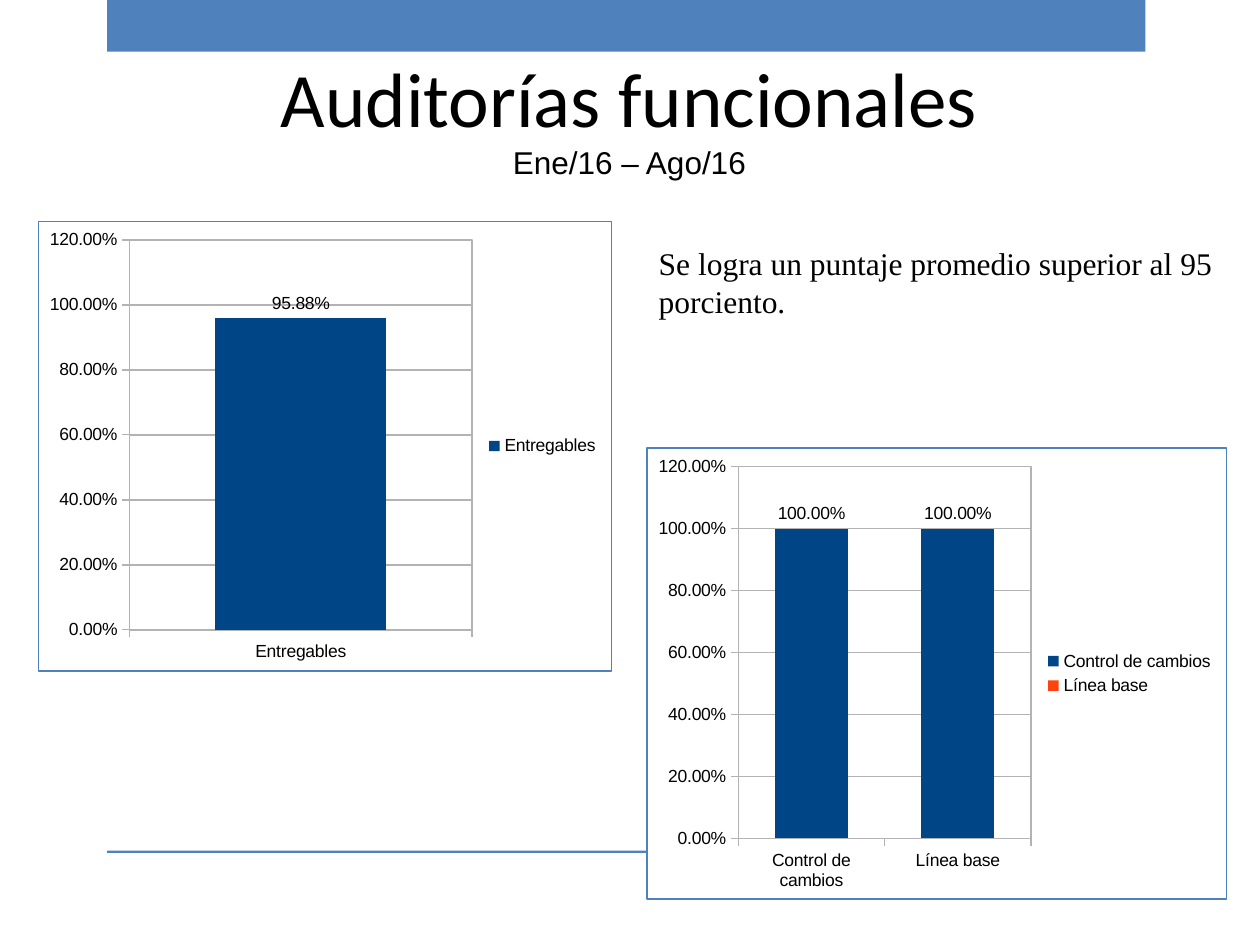
from dataclasses import dataclass

from lxml import etree
from pptx import Presentation
from pptx.chart.data import CategoryChartData
from pptx.dml.color import RGBColor
from pptx.enum.chart import XL_CHART_TYPE, XL_LABEL_POSITION, XL_LEGEND_POSITION, XL_TICK_MARK
from pptx.enum.shapes import MSO_SHAPE
from pptx.enum.text import MSO_ANCHOR, MSO_AUTO_SIZE, PP_ALIGN
from pptx.oxml import parse_xml
from pptx.util import Inches, Pt

COLUMN = XL_CHART_TYPE.COLUMN_CLUSTERED
OUTSIDE_END = XL_LABEL_POSITION.OUTSIDE_END
LEGEND_RIGHT = XL_LEGEND_POSITION.RIGHT
TICK_OUTSIDE = XL_TICK_MARK.OUTSIDE
RECTANGLE = MSO_SHAPE.RECTANGLE
TOP, MIDDLE = MSO_ANCHOR.TOP, MSO_ANCHOR.MIDDLE
LEFT, CENTER = PP_ALIGN.LEFT, PP_ALIGN.CENTER
GROW = MSO_AUTO_SIZE.SHAPE_TO_FIT_TEXT
FIXED = MSO_AUTO_SIZE.NONE

CHART_NS = "http://schemas.openxmlformats.org/drawingml/2006/chart"
DRAWING_NS = "http://schemas.openxmlformats.org/drawingml/2006/main"


@dataclass(frozen=True)
class Theme:
    accent: str = "4F81BD"
    bar: str = "004586"
    rule: str = "B3B3B3"
    ink: str = "000000"
    paper: str = "FFFFFF"
    title_font: str = "Calibri"
    label_font: str = "Arial"
    body_font: str = "Times New Roman"
    title_size: int = 44
    body_size: int = 18
    label_size: int = 10
    hairline: float = 0.75
    percent: str = "0.00%"


class SlideBuilder:
    COLUMNS, ROWS = 10, 7.5

    def __init__(self, presentation, theme):
        self.theme = theme
        presentation.slide_width = Inches(self.COLUMNS)
        presentation.slide_height = Inches(self.ROWS)
        self.unit = presentation.slide_width / self.COLUMNS
        self.slide = presentation.slides.add_slide(presentation.slide_layouts[6])

    def place(self, box):
        return [round(length * self.unit) for length in box]

    def bar(self, box):
        shape = self.slide.shapes.add_shape(RECTANGLE, *self.place(box))
        shape.shadow.inherit = False
        shape.fill.solid()
        shape.fill.fore_color.rgb = RGBColor.from_string(self.theme.accent)
        shape.line.fill.background()

    def text(self, box, lines, align=LEFT, anchor=TOP, auto_size=FIXED):
        frame = self.slide.shapes.add_textbox(*self.place(box)).text_frame
        frame.word_wrap = True
        frame.auto_size = auto_size
        frame.vertical_anchor = anchor
        for index, (words, font_name, size) in enumerate(lines):
            paragraph = frame.add_paragraph() if index else frame.paragraphs[0]
            paragraph.alignment = align
            run = paragraph.add_run()
            run.text = words
            self.style_font(run.font, font_name, size)

    def style_font(self, font, name, size):
        font.name = name
        font.size = Pt(size)
        font.color.rgb = RGBColor.from_string(self.theme.ink)

    def style_line(self, line):
        line.color.rgb = RGBColor.from_string(self.theme.rule)
        line.width = Pt(self.theme.hairline)

    def frame_properties(self, fill, border):
        width = Pt(self.theme.hairline)
        return parse_xml(
            f'<c:spPr xmlns:c="{CHART_NS}" xmlns:a="{DRAWING_NS}">{fill}'
            f'<a:ln w="{width}"><a:solidFill><a:srgbClr val="{border}"/></a:solidFill></a:ln>'
            "</c:spPr>"
        )

    def frame_chart(self, chart):
        theme = self.theme
        paper = f'<a:solidFill><a:srgbClr val="{theme.paper}"/></a:solidFill>'
        area = chart.element.find(etree.QName(CHART_NS, "chart").text)
        area.addnext(self.frame_properties(paper, theme.accent))
        plot_area = area.find(etree.QName(CHART_NS, "plotArea").text)
        plot_area.append(self.frame_properties("<a:noFill/>", theme.rule))

    def column_chart(self, box, scores):
        theme = self.theme
        data = CategoryChartData(number_format=theme.percent)
        data.categories = list(scores)
        data.add_series("", list(scores.values()))
        chart = self.slide.shapes.add_chart(COLUMN, *self.place(box), data).chart
        chart.has_title = False
        self.style_font(chart.font, theme.label_font, theme.label_size)
        chart.has_legend = True
        chart.legend.position = LEGEND_RIGHT
        chart.legend.include_in_layout = False

        plot = chart.plots[0]
        plot.gap_width = 100
        plot.vary_by_categories = True
        series = plot.series[0]
        series.format.fill.solid()
        series.format.fill.fore_color.rgb = RGBColor.from_string(theme.bar)
        labels = series.data_labels
        labels.show_value = True
        labels.position = OUTSIDE_END
        labels.number_format = theme.percent
        labels.number_format_is_linked = False

        for axis in (chart.category_axis, chart.value_axis):
            axis.major_tick_mark = TICK_OUTSIDE
            self.style_line(axis.format.line)
        scale = chart.value_axis
        scale.minimum_scale, scale.maximum_scale, scale.major_unit = 0, 1.2, 0.2
        scale.tick_labels.number_format = theme.percent
        scale.tick_labels.number_format_is_linked = False
        self.style_line(scale.major_gridlines.format.line)
        self.frame_chart(chart)


def main():
    presentation = Presentation()
    theme = Theme()
    builder = SlideBuilder(presentation, theme)
    for top, height in ((0, 0.41), (6.75, 0.02)):
        builder.bar((0.85, top, 8.24, height))
    builder.text(
        (0.5, 0.3, 8.99, 1.24),
        [
            ("Auditorías funcionales", theme.title_font, theme.title_size),
            ("Ene/16 – Ago/16", theme.label_font, theme.body_size),
        ],
        align=CENTER,
        anchor=MIDDLE,
    )
    builder.text(
        (5.13, 1.89, 4.86, 0.71),
        [("Se logra un puntaje promedio superior al 95 porciento.", theme.body_font, theme.body_size)],
        auto_size=GROW,
    )
    builder.column_chart((0.3, 1.75, 4.56, 3.58), {"Entregables": 0.9588})
    builder.column_chart((5.13, 3.55, 4.61, 3.59), {"Control de cambios": 1, "Línea base": 1})
    presentation.save("out.pptx")


if __name__ == "__main__":
    main()
